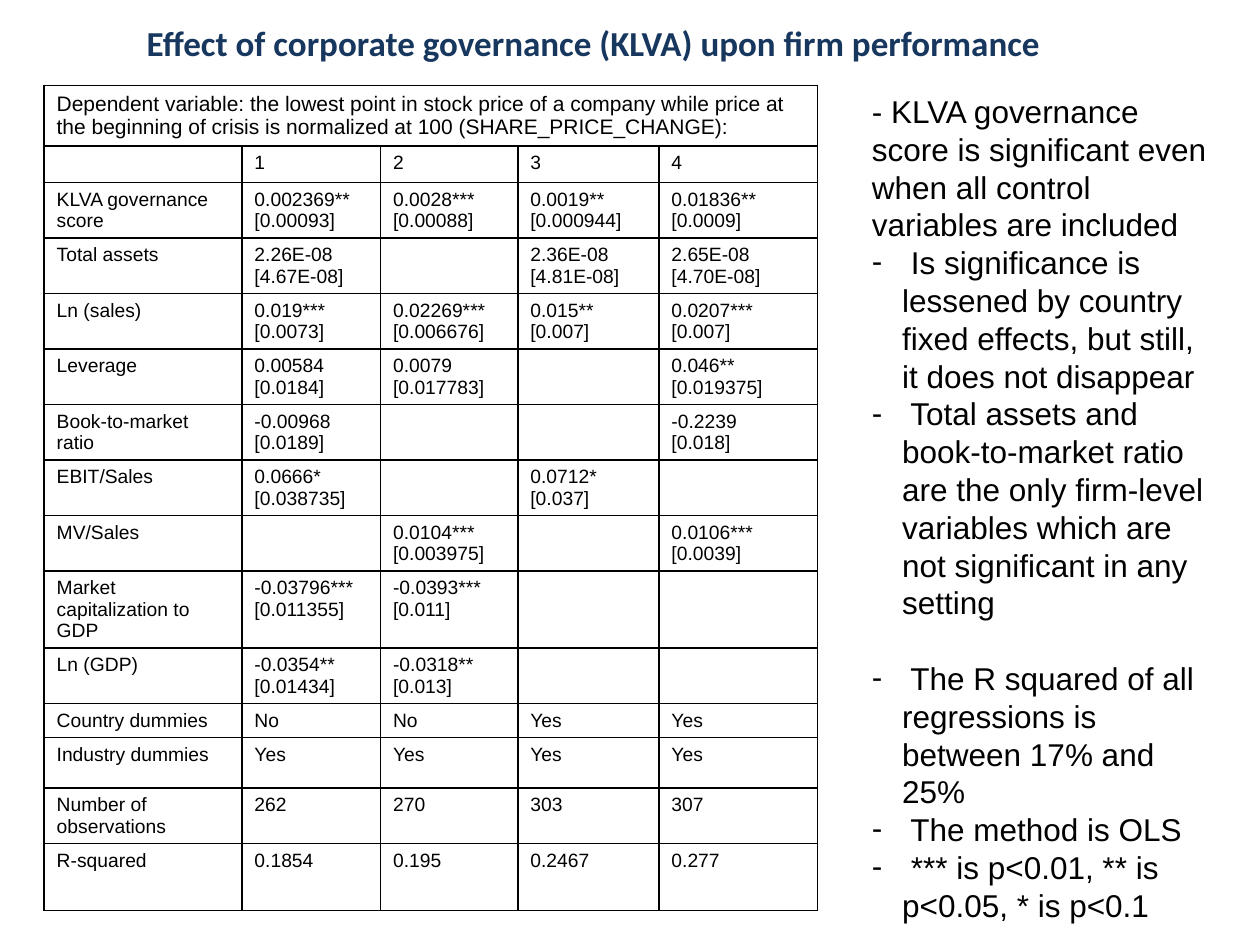
from lxml.etree import SubElement
from pptx import Presentation
from pptx.dml.color import RGBColor
from pptx.enum.text import MSO_ANCHOR, MSO_AUTO_SIZE, PP_ALIGN
from pptx.oxml.ns import qn
from pptx.util import Inches, Pt

NAVY = RGBColor(0x17, 0x37, 0x5E)
BLACK = RGBColor(0, 0, 0)

TITLE = "Effect of corporate governance (KLVA) upon firm performance"
CAPTION = ("Dependent variable: the lowest point in stock price of a company while price at "
           "the beginning of crisis is normalized at 100 (SHARE_PRICE_CHANGE):")
COLUMN_WIDTHS = [1.57, 1.1, 1.09, 1.12, 1.26]
# Row height, then the cells; a line break separates coefficient and standard error.
REGRESSION_ROWS = [
    (0.29, ["", "1", "2", "3", "4"]),
    (0.44, ["KLVA governance score", "0.002369**\n[0.00093]", "0.0028***\n[0.00088]",
            "0.0019**\n[0.000944]", "0.01836**\n[0.0009]"]),
    (0.44, ["Total assets", "2.26E-08\n[4.67E-08]", "", "2.36E-08\n[4.81E-08]",
            "2.65E-08\n[4.70E-08]"]),
    (0.44, ["Ln (sales)", "0.019***\n[0.0073]", "0.02269***\n[0.006676]",
            "0.015**\n[0.007]", "0.0207***\n[0.007]"]),
    (0.44, ["Leverage", "0.00584\n[0.0184]", "0.0079\n[0.017783]", "",
            "0.046**\n[0.019375]"]),
    (0.44, ["Book-to-market ratio", "-0.00968\n[0.0189]", "", "", "-0.2239\n[0.018]"]),
    (0.44, ["EBIT/Sales", "0.0666*\n[0.038735]", "", "0.0712*\n[0.037]", ""]),
    (0.44, ["MV/Sales", "", "0.0104***\n[0.003975]", "", "0.0106***\n[0.0039]"]),
    (0.61, ["Market capitalization to GDP", "-0.03796***\n[0.011355]",
            "-0.0393***\n[0.011]", "", ""]),
    (0.44, ["Ln (GDP)", "-0.0354**\n[0.01434]", "-0.0318**\n[0.013]", "", ""]),
    (0.27, ["Country dummies", "No", "No", "Yes", "Yes"]),
    (0.4, ["Industry dummies", "Yes", "Yes", "Yes", "Yes"]),
    (0.44, ["Number of observations", "262", "270", "303", "307"]),
    (0.53, ["R-squared", "0.1854", "0.195", "0.2467", "0.277"]),
]
# Text, whether it has a dash bullet, and the space before it in points.
FINDINGS = [
    ("- KLVA governance score is significant even when all control variables are included",
     False, 0),
    (" Is significance is lessened by country fixed effects, but still, it does not disappear",
     True, 0),
    (" Total assets and book-to-market ratio are the only firm-level variables which are "
     "not significant in any setting", True, 0),
    (" The R squared of all regressions is between 17% and 25%", True, 21.6),
    (" The method is OLS", True, 0),
    (" *** is p<0.01, ** is p<0.05, * is p<0.1", True, 0),
]


def place(shape, box):
    """Move and size a shape to a box given in inches."""
    shape.left, shape.top, shape.width, shape.height = [Inches(value) for value in box]


def add_run(paragraph, text, size, color=BLACK, font_name="Arial", bold=False):
    """Add one formatted run to a paragraph."""
    run = paragraph.add_run()
    run.text = text
    run.font.size = Pt(size)
    run.font.name = font_name
    run.font.bold = bold
    run.font.color.rgb = color


def fill_title(title, box):
    """Place and fill the slide title."""
    place(title, box)
    frame = title.text_frame
    frame.auto_size = MSO_AUTO_SIZE.NONE
    frame.vertical_anchor = MSO_ANCHOR.MIDDLE
    frame.margin_right = Inches(0.24)
    paragraph = frame.paragraphs[0]
    paragraph.alignment = PP_ALIGN.CENTER
    add_run(paragraph, TITLE, 20, NAVY, "Calibri", True)


def draw_borders(cell):
    """Give a cell thin black borders on all sides and no fill."""
    properties = cell._tc.get_or_add_tcPr()
    for side in ("a:lnL", "a:lnR", "a:lnT", "a:lnB"):
        line = SubElement(properties, qn(side), w=str(Pt(1)))
        solid = SubElement(line, qn("a:solidFill"))
        SubElement(solid, qn("a:srgbClr"), val=str(BLACK))
    cell.fill.background()


def fill_cell(cell, text, size):
    """Write the lines of a cell, one paragraph each."""
    frame = cell.text_frame
    for index, line in enumerate(text.split("\n")):
        paragraph = frame.add_paragraph() if index else frame.paragraphs[0]
        if line:
            add_run(paragraph, line, size)
        else:
            SubElement(paragraph._p, qn("a:endParaRPr"), sz=str(size * 100))


def add_regression_table(slide, box):
    """Add the regression table with its caption row across all columns."""
    rows = [(0.48, [CAPTION, "", "", "", ""])] + REGRESSION_ROWS
    table = slide.shapes.add_table(len(rows), len(COLUMN_WIDTHS),
                                   *[Inches(value) for value in box]).table
    table.first_row = table.horz_banding = False
    for column, width in zip(table.columns, COLUMN_WIDTHS):
        column.width = Inches(width)
    for row_index, (height, texts) in enumerate(rows):
        table.rows[row_index].height = Inches(height)
        for column_index, text in enumerate(texts):
            cell = table.cell(row_index, column_index)
            draw_borders(cell)
            fill_cell(cell, text, 11 if row_index else 12)
    table.cell(0, 0).merge(table.cell(0, len(COLUMN_WIDTHS) - 1))


def fill_findings(body, box):
    """Place the body placeholder and list the findings."""
    place(body, box)
    frame = body.text_frame
    frame.auto_size = MSO_AUTO_SIZE.NONE
    frame.vertical_anchor = MSO_ANCHOR.TOP
    for index, (text, bulleted, space) in enumerate(FINDINGS):
        paragraph = frame.add_paragraph() if index else frame.paragraphs[0]
        paragraph.space_before = Pt(space)
        properties = paragraph._p.get_or_add_pPr()
        indent = Inches(0.24) if bulleted else 0
        properties.set("marL", str(indent))
        properties.set("indent", str(-indent))
        if bulleted:
            SubElement(properties, qn("a:buFontTx"))
            SubElement(properties, qn("a:buChar"), char="-")
        else:
            SubElement(properties, qn("a:buNone"))
        add_run(paragraph, text, 18)


def build_slide(presentation):
    """Build the slide with title, table and findings."""
    slide = presentation.slides.add_slide(presentation.slide_layouts[1])
    fill_title(slide.shapes.title, (0.28, 0, 9, 0.68))
    add_regression_table(slide, (0.35, 0.68, 6.14, 6.54))
    fill_findings(slide.placeholders[1], (6.82, 0.68, 2.9, 6.16))


presentation = Presentation()
presentation.slide_width = Inches(10)
presentation.slide_height = Inches(7.5)
build_slide(presentation)
presentation.save("out.pptx")
